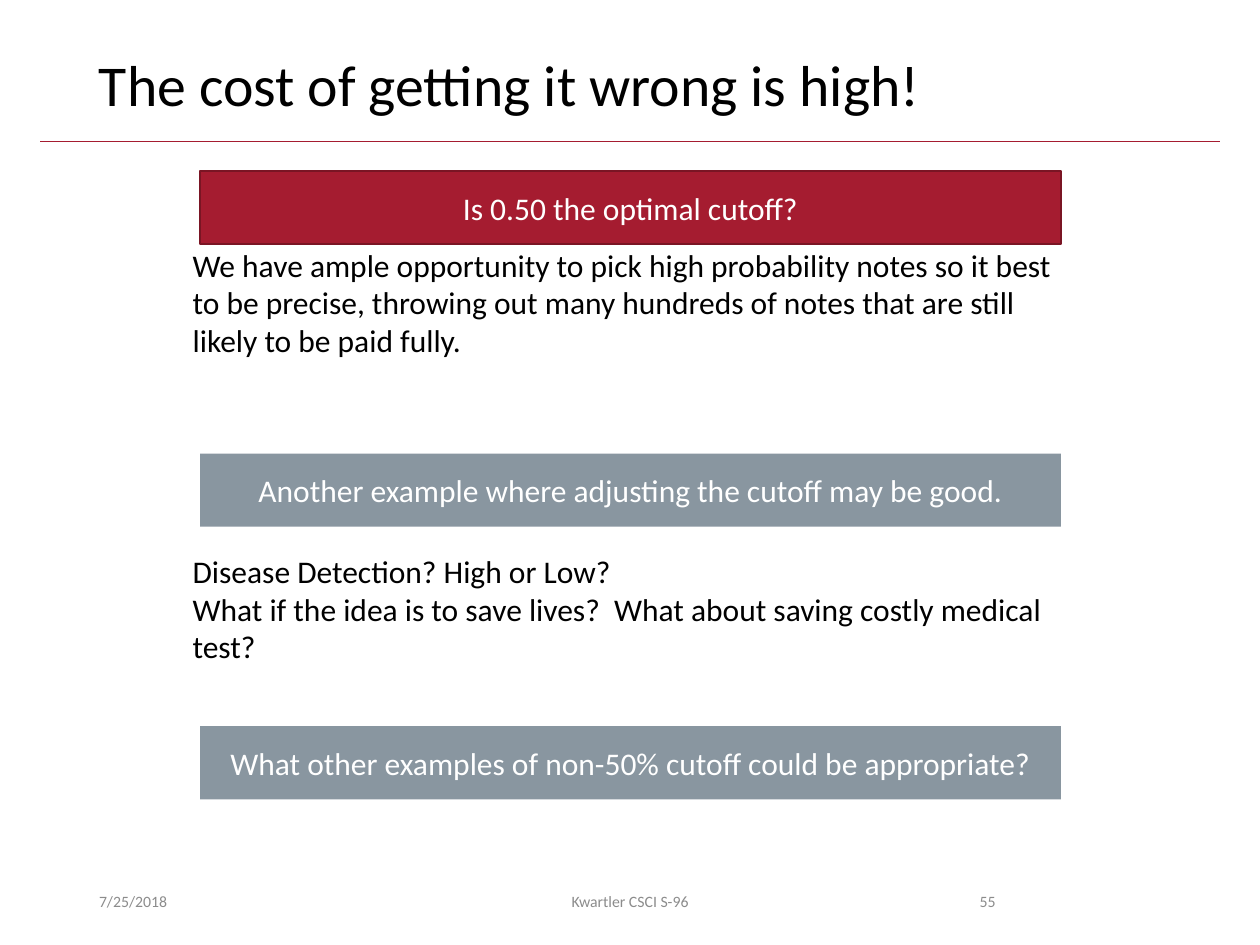
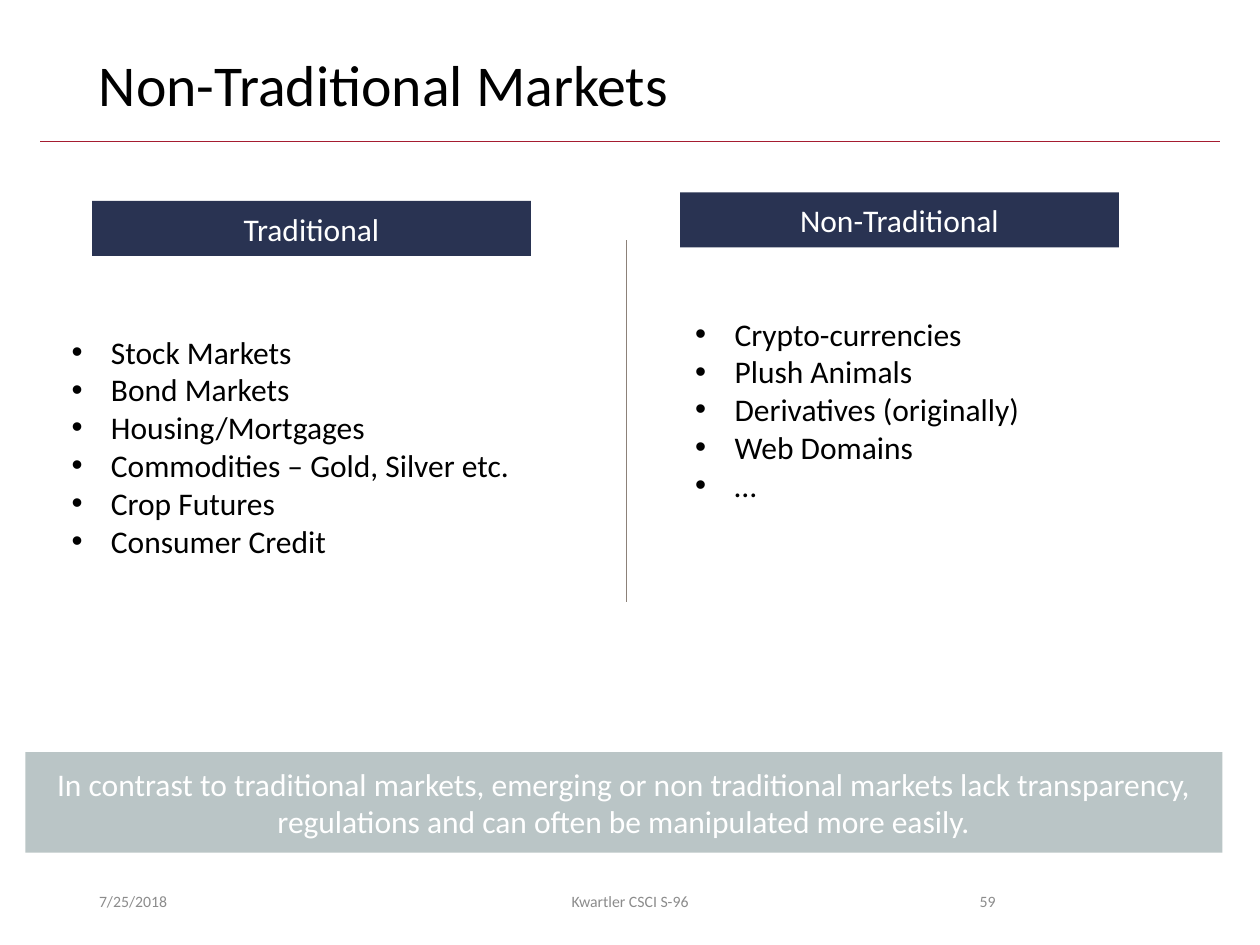
from dataclasses import dataclass

from lxml.etree import SubElement
from pptx import Presentation
from pptx.dml.color import RGBColor
from pptx.enum.shapes import MSO_CONNECTOR, MSO_SHAPE
from pptx.enum.text import MSO_ANCHOR, MSO_AUTO_SIZE, PP_ALIGN
from pptx.oxml.ns import qn
from pptx.util import Pt


@dataclass(frozen=True)
class Theme:
    font: str = "Calibri"
    title_size: float = 33
    body_size: float = 18
    footer_size: float = 9
    text: str = "000000"
    light_text: str = "FFFFFF"
    footer: str = "8C8C8C"
    crimson: str = "A51C30"
    crimson_edge: str = "7A1524"
    slate: str = "8996A0"
    navy: str = "293352"
    mist: str = "BAC5C6"
    divider: str = "8C8179"


THEME = Theme()
BULLET_INDENT = Pt(22.5)


def color(value):
    return RGBColor.from_string(value)


def style(paragraph, size, text_color, align=PP_ALIGN.LEFT):
    paragraph.alignment = align
    paragraph.font.name = THEME.font
    paragraph.font.size = Pt(size)
    paragraph.font.color.rgb = color(text_color)


def add_bullet(paragraph):
    properties = paragraph._p.get_or_add_pPr()
    properties.set("marL", str(BULLET_INDENT))
    properties.set("indent", str(-BULLET_INDENT))
    SubElement(properties, qn("a:buFont")).set("typeface", "Arial")
    SubElement(properties, qn("a:buChar")).set("char", "•")


def add_text(slide, box, lines, size=THEME.body_size, text_color=THEME.text,
             align=PP_ALIGN.LEFT, anchor=MSO_ANCHOR.TOP, bullets=False):
    """Add a text box with one paragraph per line."""
    shape = slide.shapes.add_textbox(*map(Pt, box))
    frame = shape.text_frame
    frame.word_wrap = not bullets
    frame.vertical_anchor = anchor
    frame.text = "\n".join(lines)
    for paragraph in frame.paragraphs:
        if bullets:
            add_bullet(paragraph)
        style(paragraph, size, text_color, align)
    return frame


def add_body(slide, box, lines, bullets=False):
    frame = add_text(slide, box, lines, bullets=bullets)
    frame.auto_size = MSO_AUTO_SIZE.SHAPE_TO_FIT_TEXT


def add_banner(slide, box, text, fill, edge=None):
    """Add a filled rectangle with centred light text."""
    shape = slide.shapes.add_shape(MSO_SHAPE.RECTANGLE, *map(Pt, box))
    shape.shadow.inherit = False
    shape.fill.solid()
    shape.fill.fore_color.rgb = color(fill)
    if edge:
        shape.line.color.rgb = color(edge)
        shape.line.width = Pt(1)
    else:
        shape.line.fill.background()
    frame = shape.text_frame
    frame.word_wrap = True
    frame.vertical_anchor = MSO_ANCHOR.MIDDLE
    frame.text = text
    style(frame.paragraphs[0], THEME.body_size, THEME.light_text, PP_ALIGN.CENTER)


def add_line(slide, ends, line_color):
    line = slide.shapes.add_connector(MSO_CONNECTOR.STRAIGHT, *map(Pt, ends))
    line.line.color.rgb = color(line_color)
    line.line.width = Pt(0.5)
    SubElement(line._element.spPr, qn("a:effectLst"))


def add_page(presentation, title, number):
    """Add a slide with the shared title, rule and footer."""
    slide = presentation.slides.add_slide(presentation.slide_layouts[6])
    add_line(slide, (23, 80.8, 697, 80.8), THEME.crimson)
    frame = add_text(slide, (49.5, 28.8, 621, 46.8), [title], THEME.title_size)
    frame.paragraphs[0].line_spacing = 0.9
    footers = [
        (49.5, 162, "7/25/2018", PP_ALIGN.LEFT),
        (238.5, 243, "Kwartler CSCI S-96", PP_ALIGN.CENTER),
        (508.5, 67.5, str(number), PP_ALIGN.RIGHT),
    ]
    for left, width, text, align in footers:
        add_text(slide, (left, 500.5, width, 28.8), [text], THEME.footer_size,
                 THEME.footer, align, MSO_ANCHOR.MIDDLE)
    return slide


def build_cutoff_slide(presentation):
    slide = add_page(presentation, "The cost of getting it wrong is high!", 55)

    # Explanations
    explanations = [
        (136.8, ["We have ample opportunity to pick high probability notes so it "
                 "best to be precise, throwing out many hundreds of notes that are "
                 "still likely to be paid fully."]),
        (311.8, ["Disease Detection? High or Low?",
                 "What if the idea is to save lives?  What about saving costly "
                 "medical test?"]),
    ]
    for top, lines in explanations:
        add_body(slide, (103, top, 515, 72.7), lines)

    # Question banners
    banners = [
        (97.8, "Is 0.50 the optimal cutoff?", THEME.crimson, THEME.crimson_edge),
        (259.2, "Another example where adjusting the cutoff may be good.",
         THEME.slate, None),
        (415, "What other examples of non-50% cutoff could be appropriate?",
         THEME.slate, None),
    ]
    for top, text, fill, edge in banners:
        add_banner(slide, (114.4, top, 491.8, 41.8), text, fill, edge)


def build_markets_slide(presentation):
    slide = add_page(presentation, "Non-Traditional Markets", 59)

    # Conclusion and divider
    add_banner(slide, (14.5, 429.8, 684, 57.4),
               "In contrast to traditional markets, emerging or non traditional "
               "markets lack transparency, regulations and can often be manipulated "
               "more easily.", THEME.mist)
    add_line(slide, (358, 137.3, 358, 344), THEME.divider)

    # Market columns
    columns = [
        ("Traditional", (52.6, 114.8), (33.8, 186.5, 267.8, 138),
         ["Stock Markets", "Bond Markets", "Housing/Mortgages",
          "Commodities – Gold, Silver etc.", "Crop Futures", "Consumer Credit"]),
        ("Non-Traditional", (388.6, 109.9), (390.2, 176.2, 201.6, 116.6),
         ["Crypto-currencies", "Plush Animals", "Derivatives (originally)",
          "Web Domains", "…"]),
    ]
    for heading, corner, list_box, markets in columns:
        add_body(slide, list_box, markets, bullets=True)
        add_banner(slide, (*corner, 250.8, 31.5), heading, THEME.navy)


def main():
    presentation = Presentation()
    presentation.slide_width = Pt(720)
    presentation.slide_height = Pt(540)
    build_cutoff_slide(presentation)
    build_markets_slide(presentation)
    presentation.save("out.pptx")


if __name__ == "__main__":
    main()
